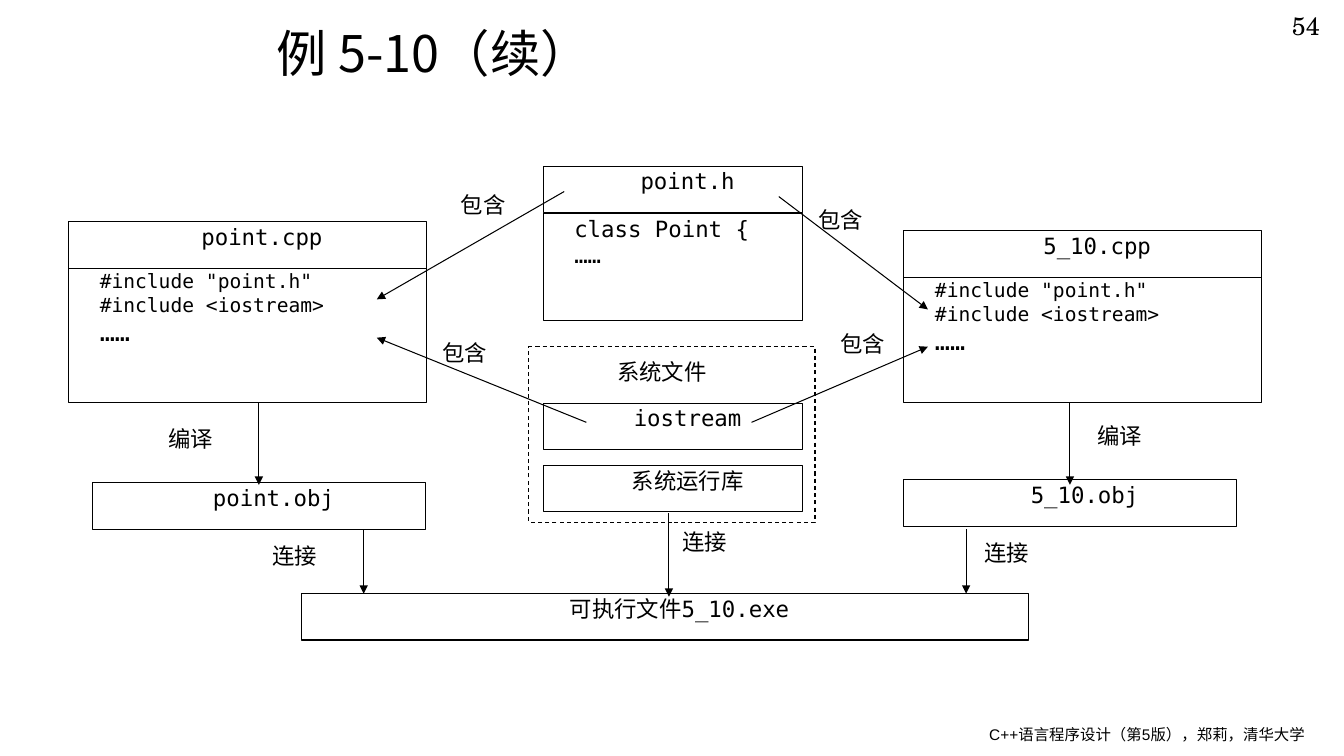
import pptx
import pptx.util
import pptx.dml.color
import pptx.enum.dml
import pptx.enum.shapes
import pptx.enum.text
import pptx.oxml
import pptx.oxml.ns
from pptx.util import Inches

COLORS = {"ink": "000000"}
MONO = "DejaVu Sans Mono"
ALIGN = pptx.enum.text.PP_ALIGN
ANCHOR = pptx.enum.text.MSO_ANCHOR
FIRST_LINE = 0.29
BAR_H = 0.46

# left, top, width, text
NAME_BOXES = [
    (0.68, 2.2, 3.55, "point.cpp"),
    (5.39, 1.65, 2.58, "point.h"),
    (8.97, 2.29, 3.55, "5_10.cpp"),
    (0.92, 4.79, 3.3, "point.obj"),
    (8.97, 4.76, 3.3, "5_10.obj"),
    (5.39, 4, 2.58, "iostream"),
    (5.39, 4.62, 2.58, "系统运行库"),
    (2.99, 5.89, 7.22, "可执行文件5_10.exe"),
]
INCLUDES = [('#include "point.h"', 14), ("#include <iostream>", 14), ("……", 18)]
# left, top, width, height, lines
CODE_BOXES = [
    (0.68, 2.66, 3.55, 1.33, INCLUDES),
    (8.97, 2.75, 3.55, 1.24, INCLUDES),
    (5.39, 2.12, 2.58, 1.06, [("class Point {", 16), ("……", 16)]),
]
# left, top, width, text
LABELS = [
    (4.03, 1.9, 1.24, "包含"),
    (7.58, 2.04, 1.24, "包含"),
    (3.85, 3.36, 1.24, "包含"),
    (7.8, 3.28, 1.24, "包含"),
    (5.1, 3.55, 2.65, "系统文件"),
    (1.13, 4.22, 1.24, "编译"),
    (10.35, 4.19, 1.24, "编译"),
    (2.16, 5.38, 1.24, "连接"),
    (6.23, 5.24, 1.24, "连接"),
    (9.23, 5.35, 1.24, "连接"),
]
# from x, from y, to x, to y
ARROWS = [
    (5.6, 1.9, 3.74, 2.97),
    (7.73, 1.95, 9.21, 3.07),
    (5.82, 4.19, 3.74, 3.35),
    (7.46, 4.19, 9.21, 3.44),
    (2.57, 3.99, 2.57, 4.81),
    (10.62, 3.99, 10.62, 4.81),
    (3.61, 5.25, 3.61, 5.89),
    (6.64, 5.09, 6.64, 5.92),
    (9.59, 5.25, 9.59, 5.89),
]


def ink():
    return pptx.dml.color.RGBColor.from_string(COLORS["ink"])


def style_line(line):
    line.color.rgb = ink()
    line.width = pptx.util.Pt(0.75)


def write(sp, lines, font=MONO, align=ALIGN.LEFT, anchor=ANCHOR.TOP, indent=0):
    """Fill a shape with one paragraph for each (text, size) pair."""
    tf = sp.text_frame
    tf.word_wrap = True
    tf.vertical_anchor = anchor
    for i, (text, size) in enumerate(lines):
        p = tf.add_paragraph() if i else tf.paragraphs[0]
        p.alignment = align
        if indent:
            p._p.get_or_add_pPr().set("indent", str(Inches(indent)))
        r = p.add_run()
        r.text = text
        r.font.name = font
        r.font.size = pptx.util.Pt(size)
        r.font.color.rgb = ink()
        ea = pptx.oxml.parse_xml(
            f'<a:ea {pptx.oxml.ns.nsdecls("a")} typeface="{font}"/>')
        r._r.rPr.find(pptx.oxml.ns.qn("a:latin")).addnext(ea)


def set_insets(sp, x, y):
    tf = sp.text_frame
    tf.margin_left = tf.margin_right = Inches(x)
    tf.margin_top = tf.margin_bottom = Inches(y)


def add_box(s, left, top, width, height):
    sp = s.shapes.add_shape(pptx.enum.shapes.MSO_SHAPE.RECTANGLE, Inches(left),
                            Inches(top), Inches(width), Inches(height))
    sp.shadow.inherit = False
    sp.fill.background()
    style_line(sp.line)
    set_insets(sp, 0.02, 0.01)
    return sp


def add_text(s, left, top, width, height, text, size, **style):
    sp = s.shapes.add_textbox(Inches(left), Inches(top), Inches(width), Inches(height))
    write(sp, [(text, size)], **style)
    return sp


def add_arrow(s, x1, y1, x2, y2):
    cxn = s.shapes.add_connector(pptx.enum.shapes.MSO_CONNECTOR.STRAIGHT,
                                 Inches(x1), Inches(y1), Inches(x2), Inches(y2))
    style_line(cxn.line)
    ns = pptx.oxml.ns.nsdecls("a")
    cxn.line._get_or_add_ln().append(
        pptx.oxml.parse_xml(f'<a:tailEnd {ns} type="triangle"/>'))
    cxn._element.spPr.append(pptx.oxml.parse_xml(f"<a:effectLst {ns}/>"))


def main():
    prs = pptx.Presentation()
    prs.slide_width = Inches(13.34)
    prs.slide_height = Inches(7.5)
    s = prs.slides.add_slide(prs.slide_layouts[6])

    add_text(s, 2.65, 0.05, 9.93, 0.94, "例 5-10（续）", 36,
             font="Noto Sans CJK SC", anchor=ANCHOR.MIDDLE)
    add_text(s, 10.2, 0.05, 3, 0.4, "54", 18, font="TeX Gyre Schola",
             align=ALIGN.RIGHT, anchor=ANCHOR.MIDDLE)
    add_text(s, 9.72, 7.14, 3.49, 0.29,
             "C++语言程序设计（第5版），郑莉，清华大学", 11, font="Arial")

    system_files = add_box(s, 5.25, 3.44, 2.84, 1.74)
    system_files.line.dash_style = pptx.enum.dml.MSO_LINE.DASH
    for left, top, width, height, lines in CODE_BOXES:
        write(add_box(s, left, top, width, height), lines, indent=FIRST_LINE)
    for left, top, width, text in NAME_BOXES:
        write(add_box(s, left, top, width, BAR_H), [(text, 16)],
              align=ALIGN.CENTER, indent=FIRST_LINE)
    for left, top, width, text in LABELS:
        label = add_text(s, left, top, width, 0.39, text, 16,
                         align=ALIGN.CENTER, indent=FIRST_LINE)
        set_insets(label, 0.02, 0)
    for ends in ARROWS:
        add_arrow(s, *ends)

    prs.save("out.pptx")


if __name__ == "__main__":
    main()
